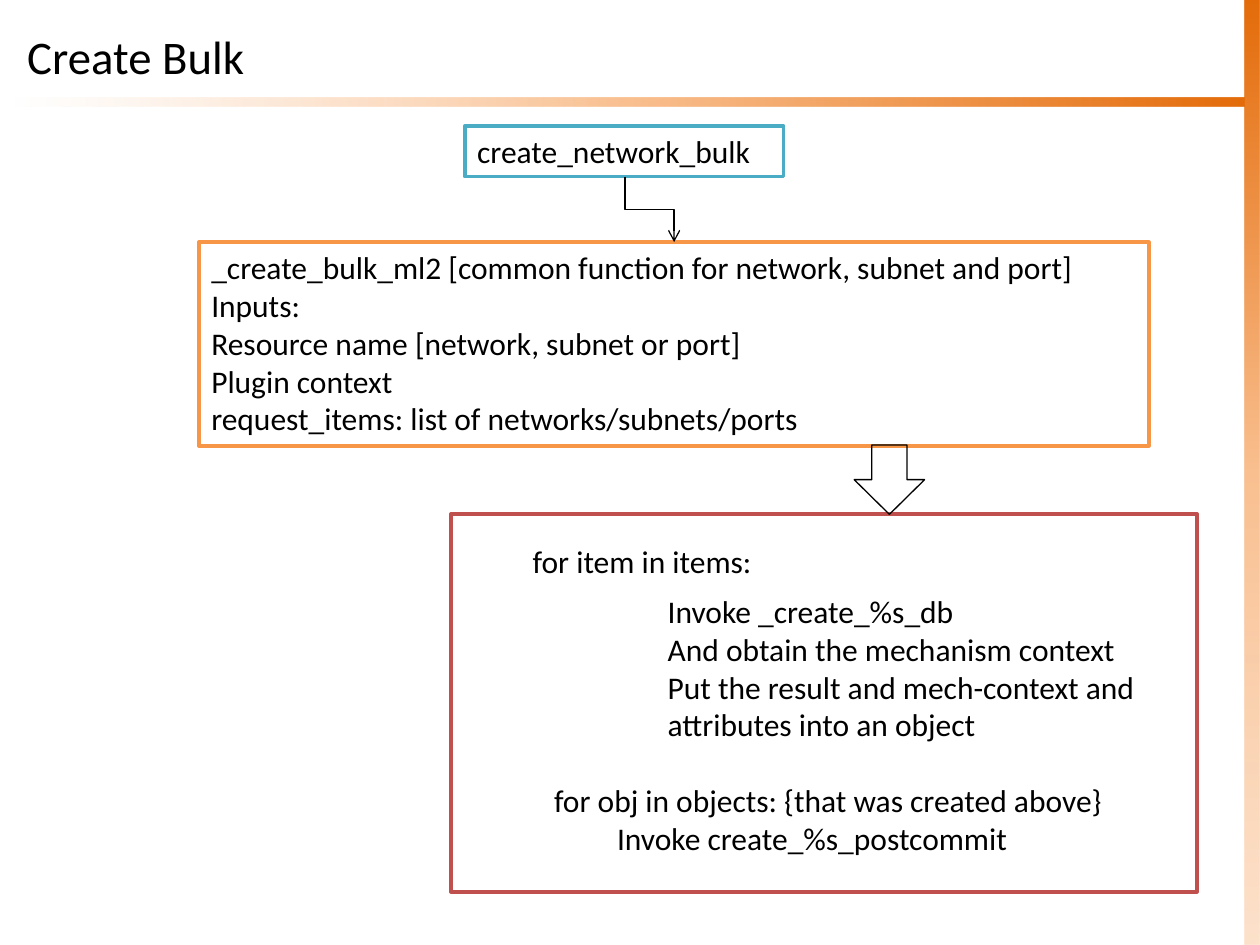
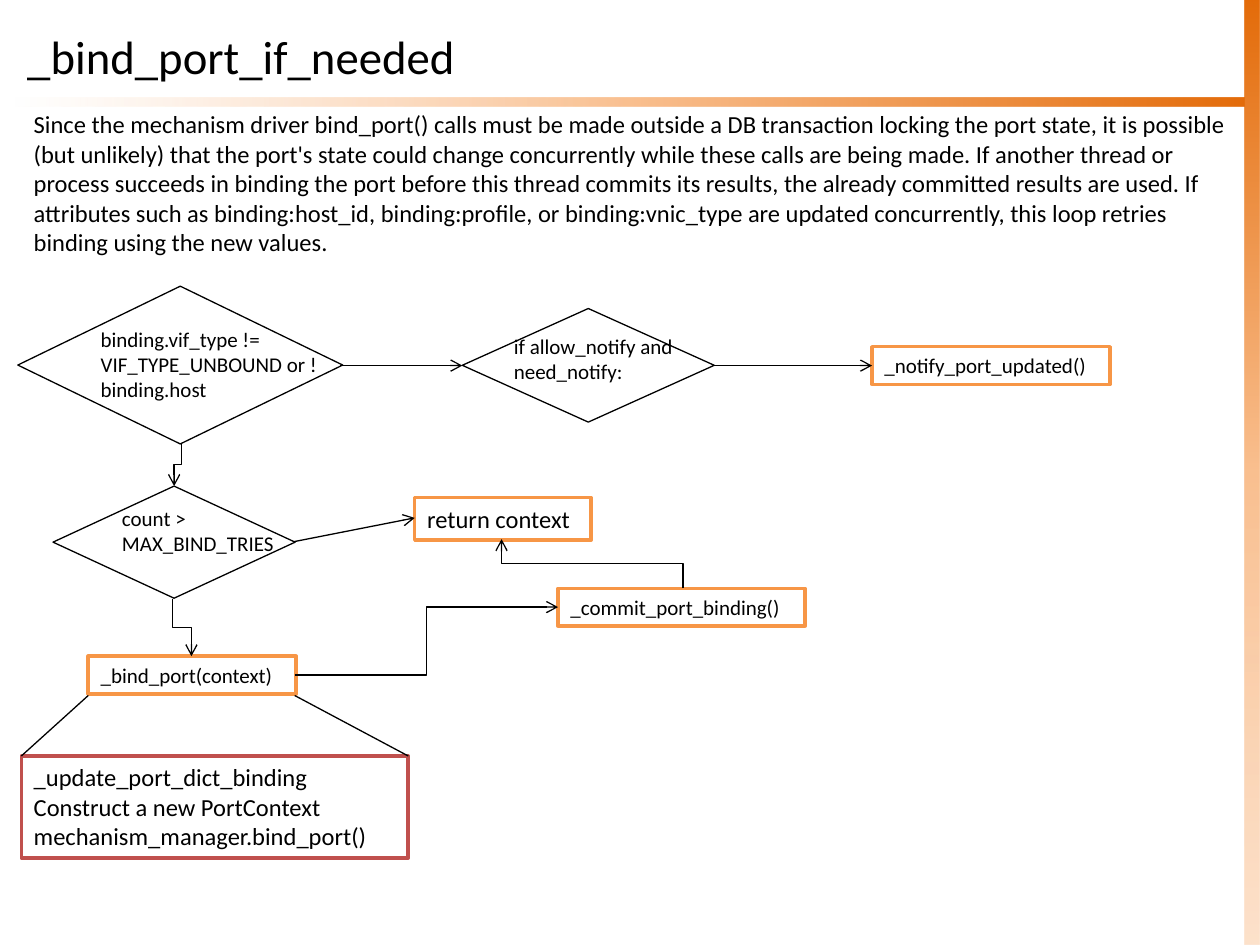
from lxml.etree import SubElement as Sub
from pptx import Presentation
from pptx.dml.color import RGBColor
from pptx.enum.shapes import MSO_CONNECTOR as Join, MSO_SHAPE as Kind
from pptx.enum.text import MSO_ANCHOR as Anchor, MSO_AUTO_SIZE as Fit, PP_ALIGN as Align
from pptx.oxml.ns import qn
from pptx.util import Cm, Pt

tint = RGBColor.from_string
BLACK, WHITE = "000000", "FFFFFF"
ORANGE, TEAL, RED = "F79646", "4BACC6", "C0504D"


def box(slide, at, text="", size=18, kind=Kind.RECTANGLE, fill=None, line=None,
        wide=2, wrap=False, fit=Fit.SHAPE_TO_FIT_TEXT, anchor=Anchor.TOP):
    shape = slide.shapes.add_shape(kind, *map(Cm, at))
    shape.shadow.inherit = False
    if fill:
        shape.fill.solid()
        shape.fill.fore_color.rgb = tint(fill)
    else:
        shape.fill.background()
    if line:
        shape.line.color.rgb = tint(line)
        shape.line.width = Pt(wide)
    else:
        shape.line.fill.background()
    if text:
        frame = shape.text_frame
        frame.text = text
        form = {"word_wrap": wrap, "auto_size": fit, "vertical_anchor": anchor}
        for key, val in form.items():
            setattr(frame, key, val)
        for para in frame.paragraphs:
            para.alignment = Align.LEFT
            for key, val in {"name": "Calibri", "size": Pt(size)}.items():
                setattr(para.font, key, val)
            para.font.color.rgb = tint(BLACK)
    return shape


def link(slide, ends, bend="", arrow=True):
    x1, y1, x2, y2 = ends
    turn = 0
    if bend == "down":
        mid_x, mid_y = (x1 + x2) / 2, (y1 + y2) / 2
        half_w, half_h = abs(y2 - y1) / 2, abs(x2 - x1) / 2
        turn = 90 if y2 > y1 else 270
        if (x2 - x1) * (y2 - y1) > 0:
            half_h = -half_h
        ends = mid_x - half_w, mid_y - half_h, mid_x + half_w, mid_y + half_h
    join = Join.ELBOW if bend else Join.STRAIGHT
    wire = slide.shapes.add_connector(join, *map(Cm, ends))
    wire.line.color.rgb = tint(BLACK)
    wire.line.width = Pt(0.75)
    props = wire._element.spPr
    if turn:
        props.find(qn("a:xfrm")).set("rot", str(turn * 60000))
    if arrow:
        Sub(props.find(qn("a:ln")), qn("a:tailEnd"), type="arrow")
    Sub(props, qn("a:effectLst"))


deck = Presentation()
deck.slide_width, deck.slide_height = Cm(25.4), Cm(19.05)

bands = [
    ((25.1, 0, 0.3, 19.05), 90, 69),
    ((0.3, 1.96, 24.79, 0.18), 180, 0),
]
pages = []
for title in ("Create Bulk", "_bind_port_if_needed"):
    page = deck.slides.add_slide(deck.slide_layouts[6])
    for at, angle, alpha in bands:
        band = box(page, at)
        band.fill.gradient()
        grad = band._element.spPr.find(qn("a:gradFill"))
        grad.clear()
        stops = Sub(grad, qn("a:gsLst"))
        for pos, hue, solid in ((0, "E46C0A", 100), (50, "FAC090", 100), (100, "FCD5B5", alpha)):
            stop = Sub(stops, qn("a:gs"), pos=str(pos * 1000))
            color = Sub(stop, qn("a:srgbClr"), val=hue)
            if solid < 100:
                Sub(color, qn("a:alpha"), val=str(solid * 1000))
        Sub(grad, qn("a:lin"), ang=str(angle * 60000), scaled="0")
    box(page, (0.3, 0.33, 24.79, 1.6), title, 26.7, wrap=True, fit=Fit.NONE, anchor=Anchor.MIDDLE)
    pages.append(page)

bulk, bind = pages

box(bulk, (4.01, 4.88, 19.15, 4.11),
    "_create_bulk_ml2 [common function for network, subnet and port]\n"
    "Inputs:\n"
    "Resource name [network, subnet or port]\n"
    "Plugin context\n"
    "request_items: list of networks/subnets/ports", fill=WHITE, line=ORANGE)
box(bulk, (9.37, 2.54, 6.43, 1.02), "create_network_bulk", fill=WHITE, line=TEAL)
link(bulk, (12.6, 3.56, 13.59, 4.88), "down")
box(bulk, (10.49, 10.8, 5.21, 1.02), "for item in items:")
box(bulk, (13.21, 11.81, 11.56, 3.33),
    "Invoke _create_%s_db\n"
    "And obtain the mechanism context\n"
    "Put the result and mech-context and attributes into an object", wrap=True)
box(bulk, (10.92, 15.62, 12.6, 1.8),
    "for obj in objects: {that was created above}\n"
    "\tInvoke create_%s_postcommit")
box(bulk, (9.09, 10.36, 15.04, 7.62), line=RED)
box(bulk, (17.22, 8.97, 1.42, 1.4), kind=Kind.DOWN_ARROW, line=BLACK, wide=0.75)

box(bind, (0.43, 2.08, 24.56, 3.25),
    "Since the mechanism driver bind_port() calls must be made outside a DB transaction "
    "locking the port state, it is possible (but unlikely) that the port's state could "
    "change concurrently while these calls are being made. If another thread or process "
    "succeeds in binding the port before this thread commits its results, the already "
    "committed results are used. If attributes such as binding:host_id, binding:profile, "
    "or binding:vnic_type are updated concurrently, this loop retries binding using the "
    "new values.", 14, wrap=True)

tests = [
    ((0.36, 5.77, 6.55, 3.18), (1.78, 6.45, 5.08, 1.8),
     "binding.vif_type != VIF_TYPE_UNBOUND or ! binding.host"),
    ((9.32, 6.22, 5.08, 2.29), (10.11, 6.6, 3.86, 1.27), "if allow_notify and need_notify:"),
    ((1.07, 9.8, 4.88, 2.26), (2.21, 10.06, 3.68, 1.8), "count > MAX_BIND_TRIES"),
]
for at, spot, text in tests:
    box(bind, spot, text, 12, wrap=True)
    box(bind, at, kind=Kind.FLOWCHART_DECISION, line=BLACK, wide=0.75)

steps = [
    ((17.58, 6.99, 4.8, 0.76), "_notify_port_updated()", 12, ORANGE),
    ((8.36, 10.03, 3.56, 0.86), "return context", 14, ORANGE),
    ((1.78, 13.23, 4.19, 0.76), "_bind_port(context)", 12, ORANGE),
    ((11.25, 11.86, 4.98, 0.76), "_commit_port_binding()", 12, ORANGE),
    ((0.43, 15.24, 7.8, 2.06),
     "_update_port_dict_binding\nConstruct a new PortContext\nmechanism_manager.bind_port()",
     14, RED),
]
for at, text, size, line in steps:
    box(bind, at, text, size, fill=WHITE, line=line)

wires = [
    ((6.86, 7.37, 9.32, 7.37), "", True),
    ((14.4, 7.37, 17.58, 7.37), "", True),
    ((5.92, 10.92, 8.36, 10.44), "", True),
    ((3.66, 8.94, 3.51, 9.8), "down", True),
    ((3.48, 12.07, 3.86, 13.23), "down", True),
    ((13.77, 11.86, 10.11, 10.87), "down", True),
    ((5.94, 13.61, 11.25, 12.24), "across", True),
    ((1.78, 14.02, 0.43, 15.24), "", False),
    ((5.94, 14.02, 8.23, 15.24), "", False),
]
for ends, bend, arrow in wires:
    link(bind, ends, bend, arrow)

deck.save("out.pptx")
